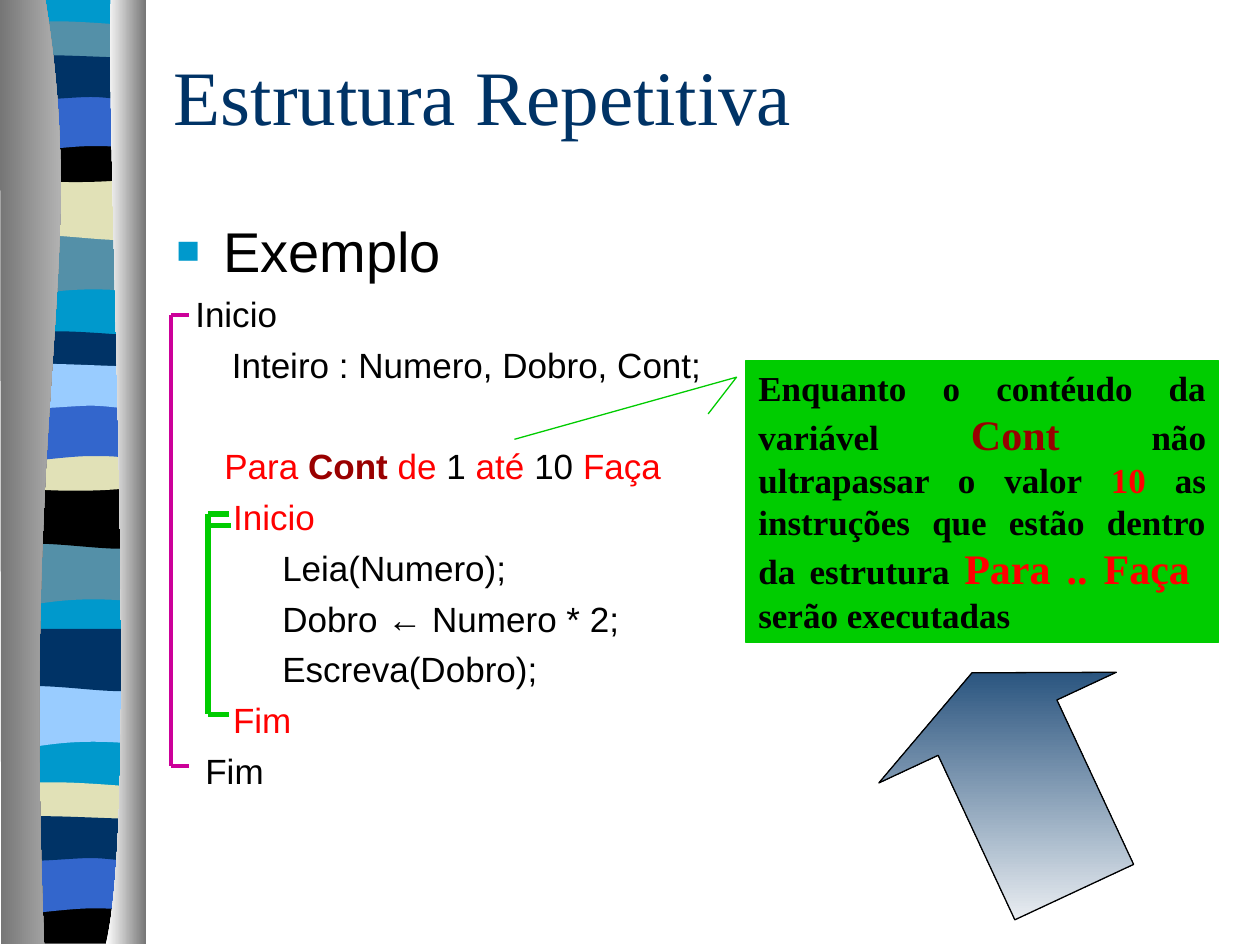
"""Build the slide on the repetition structure with its striped side band."""
import dataclasses

import lxml.etree
import pptx
import pptx.dml.color
import pptx.enum.shapes
import pptx.enum.text
import pptx.oxml.ns
import pptx.util

Inches = pptx.util.Inches
Pt = pptx.util.Pt
Shape = pptx.enum.shapes.MSO_SHAPE
Text = pptx.enum.text
qn = pptx.oxml.ns.qn


@dataclasses.dataclass(frozen=True)
class Theme:
    serif: str = "Times New Roman"
    sans: str = "Arial"
    head: int = 44
    item: int = 32
    large: int = 24
    small: int = 20
    navy: str = "003366"
    sky: str = "0099CC"
    teal: str = "5490A8"
    sand: str = "E1E1B7"
    blue: str = "3366CC"
    pale: str = "99CCFF"
    black: str = "000000"
    white: str = "FFFFFF"
    mist: str = "D0D0D0"
    gray: str = "767676"
    snow: str = "FEFEFE"
    red: str = "FF0000"
    wine: str = "990000"
    green: str = "00CC00"
    pink: str = "CC0099"


def tint(code):
    return pptx.dml.color.RGBColor.from_string(code)


def bend(shape, path):
    """Merge the line steps of each cubic triple into one curve."""
    steps = list(shape._element.iter(qn("a:lnTo")))
    for part in path[1:]:
        size = len(part) // 2
        group, steps = steps[:size], steps[size:]
        if size == 3:
            curve = lxml.etree.Element(qn("a:cubicBezTo"))
            group[0].addprevious(curve)
            for step in group:
                curve.append(step[0])
                step.getparent().remove(step)


class Deck:
    def __init__(self, theme):
        self.theme = theme
        self.file = pptx.Presentation()
        self.file.slide_width, self.file.slide_height = Inches(10), Inches(7.5)
        self.slide = self.file.slides.add_slide(self.file.slide_layouts[1])
        self.shapes = self.slide.shapes

    def group(self):
        return self.shapes.add_group_shape().shapes

    def paint(self, shape, fill, edge=None, angle=0):
        """Fill with one colour, or blend a pair; outline if an edge is given."""
        shape.shadow.inherit = False
        if isinstance(fill, tuple):
            shape.fill.gradient()
            shape.fill.gradient_angle = angle
            for stop, code in zip(shape.fill.gradient_stops, fill):
                stop.color.rgb = tint(code)
        else:
            shape.fill.solid()
            shape.fill.fore_color.rgb = tint(fill)
        if edge:
            shape.line.color.rgb = tint(edge)
            shape.line.width = Pt(0.75)
        else:
            shape.line.fill.background()

    def place(self, shape, box):
        shape.left, shape.top, shape.width, shape.height = map(Inches, box)

    def patch(self, home, path, fill, top=0):
        """Draw an outline of points and cubic triples."""
        spots = [(Inches(part[i]), Inches(part[i + 1] + top))
                 for part in path for i in range(0, len(part), 2)]
        pen = home.build_freeform(*spots[0], scale=1.0)
        pen.add_line_segments(spots[1:], close=True)
        shape = pen.convert_to_shape()
        bend(shape, path)
        self.paint(shape, fill)

    def style(self, para, face, size, runs, bold=None):
        """Add (text, colour, changes) runs under one paragraph font."""
        para.font.name, para.font.size, para.font.bold = face, Pt(size), bold
        for text, code, *more in runs:
            run = para.add_run()
            run.text = text
            run.font.color.rgb = tint(code)
            for key, value in (more[0] if more else {}).items():
                setattr(run.font, key, value)

    def title(self, box, text):
        shape = self.shapes.title
        self.place(shape, box)
        frame = shape.text_frame
        frame.auto_size = Text.MSO_AUTO_SIZE.NONE
        frame.vertical_anchor = Text.MSO_ANCHOR.MIDDLE
        para = frame.paragraphs[0]
        para.alignment = Text.PP_ALIGN.LEFT
        self.style(para, self.theme.serif, self.theme.head, [(text, self.theme.navy)])

    def body(self, box, lead, lines):
        """Write a bulleted lead, then lines given as (indent, gap, runs)."""
        theme = self.theme
        shape = self.slide.placeholders[1]
        self.place(shape, box)
        frame = shape.text_frame
        frame.auto_size = Text.MSO_AUTO_SIZE.NONE
        marks = [lxml.etree.Element(qn(tag)) for tag in ("a:buClr", "a:buSzPct", "a:buFont", "a:buChar")]
        lxml.etree.SubElement(marks[0], qn("a:srgbClr")).set("val", theme.sky)
        marks[1].set("val", "70000")
        marks[2].set("typeface", theme.sans)
        marks[3].set("char", "■")
        para = frame.paragraphs[0]
        self.style(para, theme.sans, theme.item, [(lead, theme.black)])
        self.indent(para, 3, 0.42, -0.37, marks)
        for left, gap, runs in lines:
            para = frame.add_paragraph()
            self.style(para, theme.sans, theme.small, runs)
            self.indent(para, gap, left, 0, [lxml.etree.Element(qn("a:buNone"))])

    def indent(self, para, gap, left, first, marks):
        para.space_before = Pt(gap)
        props = para._p.get_or_add_pPr()
        props.set("marL", str(Inches(left)))
        props.set("indent", str(Inches(first)))
        font = props.find(qn("a:defRPr"))
        for mark in marks:
            font.addprevious(mark)

    def shape(self, kind, box, fill, edge, bends, angle=0):
        shape = self.shapes.add_shape(kind, *map(Inches, box))
        for index, value in enumerate(bends):
            shape.adjustments[index] = value
        self.paint(shape, fill, edge, angle)
        return shape

    def note(self, box, bends, runs):
        theme = self.theme
        shape = self.shape(Shape.LINE_CALLOUT_2, box, theme.green, theme.green, bends)
        frame = shape.text_frame
        frame.word_wrap = True
        frame.vertical_anchor = Text.MSO_ANCHOR.TOP
        para = frame.paragraphs[0]
        para.alignment = Text.PP_ALIGN.JUSTIFY
        self.style(para, theme.serif, theme.small, runs, True)

    def line(self, home, ends, code, width):
        link = home.add_connector(pptx.enum.shapes.MSO_CONNECTOR.STRAIGHT, *map(Inches, ends))
        link.line.color.rgb = tint(code)
        link.line.width = Pt(width)
        lxml.etree.SubElement(link._element.spPr, qn("a:effectLst"))

    def brace(self, left, right, top, base, code, width):
        home = self.group()
        self.line(home, (left, top, left, base), code, width)
        for y in (top, base):
            self.line(home, (left, y, right, y), code, width)


def band(deck):
    """Draw the wavy stripes, then the two curtains over their edges."""
    t = deck.theme
    home = deck.group()
    l, r = 0.06, 1.14
    deck.patch(home, [(r, 0), (r, 7.47), (l, 7.47), (l, 0)], t.sky)
    waves = [
        ([(r, 0.47), (0.39, 0.39, 0.24, 0.55, l, 0.47), (l, 0)],
         [(1.85, t.teal), (4.31, t.teal), (5.44, t.pale)]),
        ([(r, 0.47), (0.96, 0.55, 0.39, 0.41, l, 0.47), (l, 0)],
         [(1.41, t.sand), (3.86, t.black), (4.99, t.navy)]),
        ([(r, 0.24), (0.96, 0.28, 0.24, 0.28, l, 0.24), (l, 0),
          (0.12, -0.05, 0.29, -0.04, 0.47, -0.04), (0.65, -0.04, 1, -0.01, r, 0)],
         [(0.21, t.teal), (2.67, t.navy), (6.25, t.sand)]),
        ([(r, 0.32), (0.96, 0.38, 0.24, 0.38, l, 0.32), (l, 0), (0.72, 0.05, 0.91, 0, r, 0)],
         [(1.08, t.black), (3.53, t.sand)]),
        ([(r, 0.37), (l, 0.37), (l, 0), (0.72, 0.05, 0.91, 0, r, 0)], [(7.12, t.black)]),
        ([(r, 0.47), (0.97, 0.42, 0.9, 0.42, 0.72, 0.42), (0.54, 0.42, 0.22, 0.47, l, 0.47), (l, 0)],
         [(0.74, t.blue), (3.2, t.blue), (6.79, t.blue)]),
        ([(r, 0.31), (1.07, 0.36, 0.9, 0.31, 0.72, 0.31), (0.54, 0.31, 0.17, 0.36, l, 0.31),
          (l, 0), (0.21, -0.05, 0.79, 0, r, 0)],
         [(0.46, t.navy), (2.91, t.pale), (6.5, t.navy)]),
    ]
    for path, spots in waves:
        for top, code in spots:
            deck.patch(home, [(r, 0)] + path, code, top)
    deck.patch(home, [(0.36, 0), (0.71, 2.16, 0.17, 2.96, 0.35, 7.49), (0.01, 7.49), (0, 0)], (t.gray, t.mist))
    deck.patch(home, [(0.88, 0), (0.84, 1.25, 1.11, 6.46, 0.84, 7.49), (1.16, 7.49), (1.16, 0)], (t.white, t.gray))


def main():
    t = Theme()
    deck = Deck(t)
    band(deck)
    deck.title((1.28, 0.25, 8.5, 1), "Estrutura Repetitiva")
    loop = [("Para ", t.red), ("Cont", t.wine, {"bold": True}), (" de", t.red), (" 1", t.black),
            (" até ", t.red), ("10 ", t.black), ("Faça", t.red)]
    deck.body((1.25, 1.67, 8.58, 5), "Exemplo", [
        (0.2, 5, [("Inicio", t.black)]),
        (0.49, 5, [("Inteiro : Numero, Dobro, Cont;", t.black)]),
        (0.43, 34, loop),
        (0.5, 5, [("Inicio", t.red)]),
        *[(0.89, 5, [(text, t.black)]) for text in
          ("Leia(Numero);", "Dobro ← Numero * 2;", "Escreva(Dobro);")],
        (0.5, 5, [("Fim", t.red)]),
        (0.28, 5, [("Fim", t.black)]),
    ])
    big = {"size": Pt(t.large)}
    deck.note((5.92, 2.86, 3.75, 2.24), (0.19, -0.08, 0.06, -0.02, 0.28, -0.49), [
        ("Enquanto o contéudo da variável ", t.black), ("Cont", t.wine, big),
        (" não ultrapassar o valor ", t.black), ("10", t.red),
        (" as instruções que estão dentro da estrutura ", t.black),
        ("Para .. Faça ", t.red, big), (" serão executadas", t.black)])
    arrow = deck.shape(Shape.UP_ARROW, (7.08, 5.25, 2.08, 1.92), (t.navy, t.snow), t.black, (0.5, 0.25), 245)
    arrow.rotation = 335
    deck.brace(1.65, 1.82, 4.08, 5.67, t.green, 3)
    deck.brace(1.36, 1.5, 2.5, 6.08, t.pink, 2.25)
    deck.line(deck.shapes, (1.67, 4.17, 1.83, 4.17), t.green, 3)
    deck.file.save("out.pptx")


if __name__ == "__main__":
    main()
